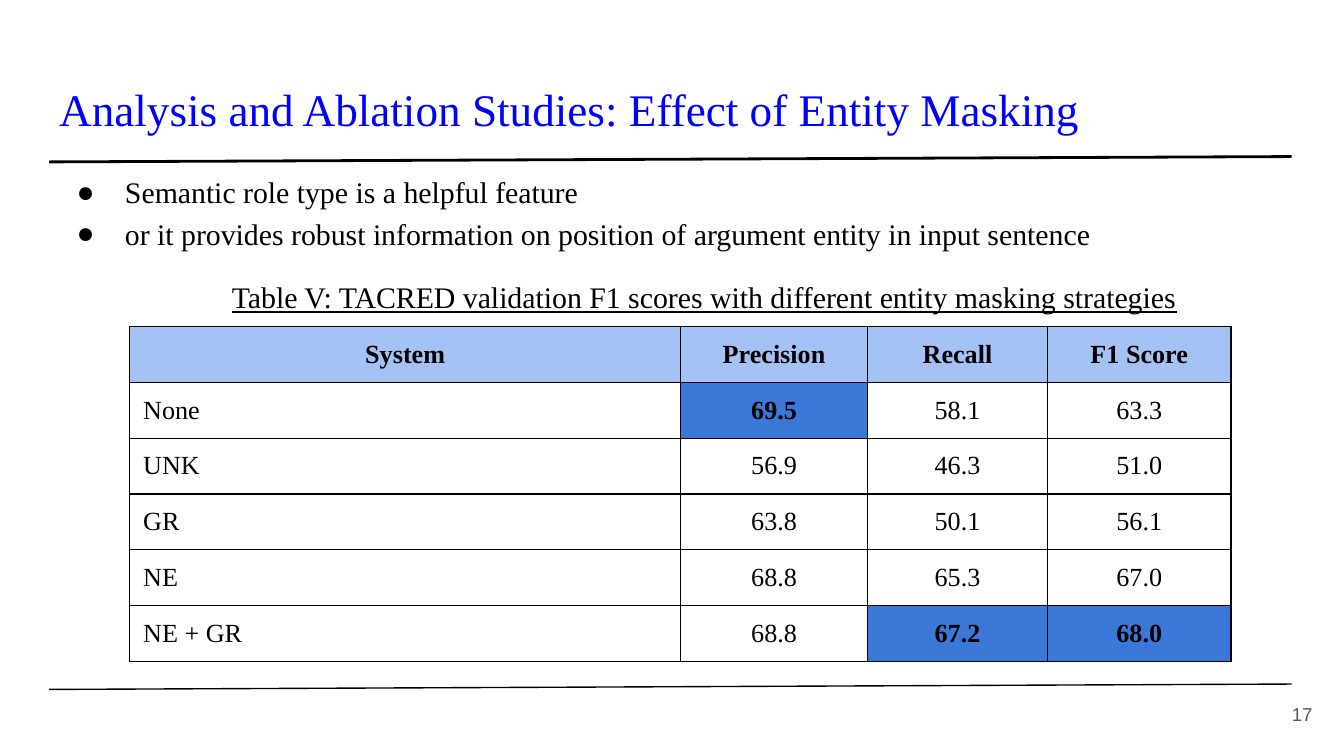
from typing import NamedTuple

from lxml.etree import SubElement
from pptx import Presentation
from pptx.dml.color import RGBColor
from pptx.enum.shapes import MSO_CONNECTOR
from pptx.enum.text import MSO_ANCHOR as Anchor, MSO_AUTO_SIZE as AutoSize, PP_ALIGN as Align
from pptx.oxml.ns import qn
from pptx.util import Emu, Pt

EMU_PER_PX = 4572  # 200 px to the inch
PADDING = 20
SERIF = "Times New Roman"

BLACK = RGBColor(0x00, 0x00, 0x00)
BLUE = RGBColor(0x00, 0x00, 0xFF)
GREY = RGBColor(0x59, 0x59, 0x59)
HEADER_FILL = RGBColor(0xA4, 0xC2, 0xF4)
BEST_FILL = RGBColor(0x3C, 0x78, 0xD8)


class Box(NamedTuple):
    left: int
    top: int
    width: int
    height: int


class Rule(NamedTuple):
    left: int
    left_y: int
    right: int
    right_y: int
    weight: float


class Score(NamedTuple):
    system: str
    precision: float
    recall: float
    f1: float


TITLE = "Analysis and Ablation Studies: Effect of Entity Masking"
FINDINGS = [
    "Semantic role type is a helpful feature",
    "or it provides robust information on position of argument entity in input sentence",
]
CAPTION = "Table V: TACRED validation F1 scores with different entity masking strategies"
RULES = [Rule(73, 241, 1922, 233, 1.5), Rule(73, 1026, 1922, 1018, 0.75)]
HEADINGS = ["System", "Precision", "Recall", "F1 Score"]
SCORES = [
    Score("None", 69.5, 58.1, 63.3),
    Score("UNK", 56.9, 46.3, 51.0),
    Score("GR", 63.8, 50.1, 56.1),
    Score("NE", 68.8, 65.3, 67.0),
    Score("NE + GR", 68.8, 67.2, 68.0),
]
COLUMN_WIDTHS = [820, 278, 268, 273]
ROW_HEIGHT = 83


def px(length: int) -> Emu:
    return Emu(length * EMU_PER_PX)


def place(shape, box: Box) -> None:
    shape.left, shape.top, shape.width, shape.height = map(px, box)


def set_frame(frame, anchor) -> None:
    frame.word_wrap = True
    frame.auto_size = AutoSize.NONE
    frame.vertical_anchor = anchor
    frame.margin_left = frame.margin_right = px(PADDING)
    frame.margin_top = frame.margin_bottom = px(PADDING)


def set_font(paragraph, size: float, color: RGBColor, name: str = SERIF, bold: bool = False) -> None:
    font = paragraph.font
    font.size, font.name, font.bold = Pt(size), name, bold
    font.color.rgb = color


def set_bullet(paragraph, symbol: str = "") -> None:
    """Indent the paragraph, with a hanging bullet if a symbol is given."""
    properties = paragraph._p.get_or_add_pPr()
    properties.set("marL", str(px(100)))
    properties.set("indent", str(px(-72 if symbol else 0)))
    if symbol:
        color = SubElement(properties, qn("a:buClr"))
        SubElement(color, qn("a:srgbClr"), val=str(BLACK))
        SubElement(properties, qn("a:buFont"), typeface=SERIF)
        SubElement(properties, qn("a:buChar"), char=symbol)
    else:
        SubElement(properties, qn("a:buNone"))


def add_title(slide) -> None:
    title = slide.shapes.title
    place(title, Box(68, 98, 1864, 126))
    set_frame(title.text_frame, Anchor.MIDDLE)
    title.text_frame.text = TITLE
    heading = title.text_frame.paragraphs[0]
    heading.alignment = Align.LEFT
    set_font(heading, 24.2, BLUE)


def add_findings(slide) -> None:
    body = slide.placeholders[1]
    place(body, Box(66, 231, 1864, 748))
    frame = body.text_frame
    set_frame(frame, Anchor.TOP)
    frame.text = "\n".join([*FINDINGS, CAPTION])
    for paragraph, symbol in zip(frame.paragraphs, ["●", "●", ""]):
        set_bullet(paragraph, symbol)
        paragraph.line_spacing = 1.15
        paragraph.space_before = Pt(0)
        set_font(paragraph, 16, BLACK)
    caption = frame.paragraphs[-1]
    caption.alignment = Align.CENTER
    caption.space_before = caption.space_after = Pt(12)
    caption.font.underline = True


def add_rule(slide, rule: Rule) -> None:
    line = slide.shapes.add_connector(
        MSO_CONNECTOR.STRAIGHT, px(rule.left), px(rule.left_y), px(rule.right), px(rule.right_y)
    )
    line.line.color.rgb = BLACK
    line.line.width = Pt(rule.weight)
    SubElement(line._element.spPr, qn("a:effectLst"))


def add_page_number(slide, number: int) -> None:
    frame = slide.shapes.add_textbox(*map(px, Box(1853, 1020, 120, 86))).text_frame
    set_frame(frame, Anchor.MIDDLE)
    frame.text = str(number)
    frame.paragraphs[0].alignment = Align.RIGHT
    set_font(frame.paragraphs[0], 10, GREY, "Arial")


def set_cell(cell, text: str, align, fill: RGBColor | None) -> None:
    """Write a bordered cell; a filled one is bold."""
    cell.margin_left = cell.margin_right = px(PADDING)
    cell.margin_top = cell.margin_bottom = px(PADDING)
    cell.text = text
    paragraph = cell.text_frame.paragraphs[0]
    paragraph.alignment = align
    set_font(paragraph, 14, BLACK, bold=fill is not None)
    properties = cell._tc.get_or_add_tcPr()
    for side in ("lnL", "lnR", "lnT", "lnB"):
        border = SubElement(properties, qn(f"a:{side}"), w=str(Pt(0.75)))
        color = SubElement(border, qn("a:solidFill"))
        SubElement(color, qn("a:srgbClr"), val=str(BLACK))
    if fill is None:
        cell.fill.background()
    else:
        cell.fill.solid()
        cell.fill.fore_color.rgb = fill


def add_scores(slide) -> None:
    row_count = len(SCORES) + 1
    area = Box(193, 486, sum(COLUMN_WIDTHS), ROW_HEIGHT * row_count)
    table = slide.shapes.add_table(row_count, len(HEADINGS), *map(px, area)).table
    table.horz_banding = False
    for column, width in zip(table.columns, COLUMN_WIDTHS):
        column.width = px(width)
    for index, heading in enumerate(HEADINGS):
        set_cell(table.cell(0, index), heading, Align.CENTER, HEADER_FILL)
    _, *best = map(max, zip(*SCORES))
    for row, (system, *values) in enumerate(SCORES, start=1):
        set_cell(table.cell(row, 0), system, Align.LEFT, None)
        for column, (value, top_value) in enumerate(zip(values, best), start=1):
            fill = BEST_FILL if value == top_value else None
            set_cell(table.cell(row, column), f"{value:.1f}", Align.CENTER, fill)


def main() -> None:
    deck = Presentation()
    deck.slide_width, deck.slide_height = px(2000), px(1125)
    slide = deck.slides.add_slide(deck.slide_layouts[1])
    add_title(slide)
    add_findings(slide)
    for rule in RULES:
        add_rule(slide, rule)
    add_page_number(slide, 17)
    add_scores(slide)
    deck.save("out.pptx")


if __name__ == "__main__":
    main()
